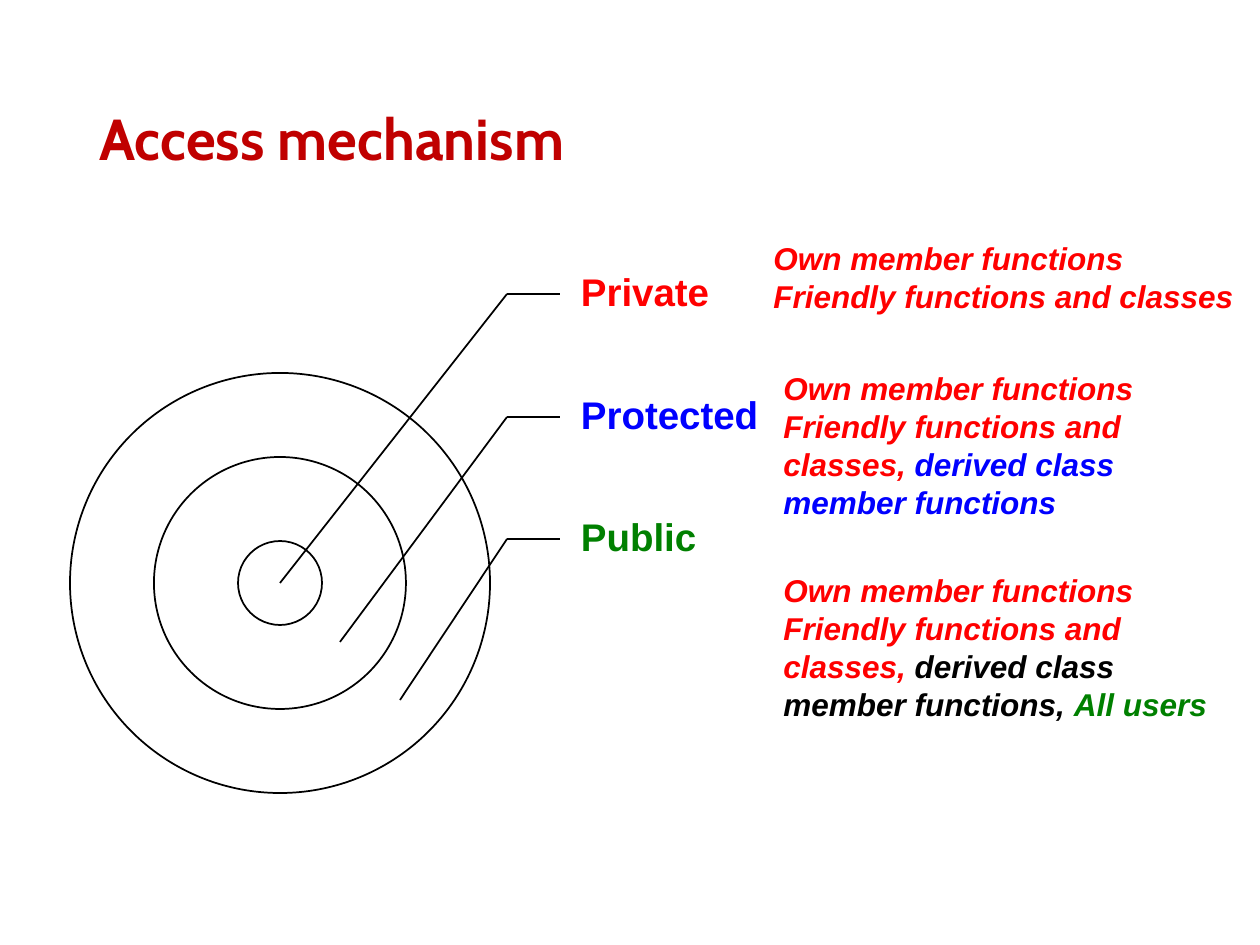
from dataclasses import dataclass

from lxml.etree import SubElement
from pptx import Presentation
from pptx.dml.color import RGBColor as Rgb
from pptx.enum.shapes import MSO_CONNECTOR as Conn, MSO_SHAPE as Kind
from pptx.enum.text import MSO_ANCHOR as Anchor, MSO_AUTO_SIZE as Fit, PP_ALIGN as Align
from pptx.oxml.ns import qn
from pptx.util import Emu, Pt

HUES = {
    "title": "C00000",
    "red": "FF0000",
    "blue": "0000FF",
    "green": "008000",
    "black": "000000",
    "white": "FFFFFF",
}
SCALE = 914400 / 126
MID = (280, 583)
RINGS = (210, 126, 42)
BEND, EDGE = 507, 560
LABEL = (210, 122)
OWN = ("Own member functions", "red")
FRIENDS = "Friendly functions and classes"


@dataclass
class Level:
    name: str
    hue: str
    y: int
    tip: tuple[int, int]
    box: tuple[int, int, int, int]
    wrap: bool
    note: list


LEVELS = [
    Level("Private", "red", 294, MID, (761, 233, 490, 89), False,
          [[OWN], [(FRIENDS, "red")]]),
    Level("Protected", "blue", 417, (340, 642), (771, 363, 471, 165), True,
          [[OWN], [(FRIENDS + ", ", "red"),
                   ("derived class member functions", "blue")]]),
    Level("Public", "green", 539, (400, 700), (771, 565, 471, 165), True,
          [[OWN], [(FRIENDS + ", ", "red"),
                   ("derived class member functions, ", "black"),
                   ("All users", "green")]]),
]


def px(n: float) -> Emu:
    return Emu(round(n * SCALE))


def tint(hue: str) -> Rgb:
    return Rgb.from_string(HUES[hue])


def place(shape, box) -> None:
    shape.left, shape.top, shape.width, shape.height = map(px, box)


def write(shape, paras, *, size, font="Arial", slant=None, lead=None,
          anchor=Anchor.TOP, wrap=True, fit=Fit.NONE, inset=None) -> None:
    frame = shape.text_frame
    frame.word_wrap = wrap
    frame.auto_size = fit
    frame.vertical_anchor = anchor
    if inset:
        (frame.margin_left, frame.margin_top,
         frame.margin_right, frame.margin_bottom) = map(px, inset)
    for i, parts in enumerate(paras):
        para = frame.add_paragraph() if i else frame.paragraphs[0]
        para.alignment = Align.LEFT
        para.line_spacing = lead
        for text, hue in parts:
            run = para.add_run()
            run.text = text
            run.font.name = font
            run.font.size = Pt(size)
            run.font.bold = True
            run.font.italic = slant
            run.font.color.rgb = tint(hue)


def ring(slide, r: int) -> None:
    x, y = MID
    shape = slide.shapes.add_shape(
        Kind.OVAL, *map(px, (x - r, y - r, 2 * r, 2 * r)))
    shape.shadow.inherit = False
    shape.fill.solid()
    shape.fill.fore_color.rgb = tint("white")
    shape.line.color.rgb = tint("black")
    shape.line.width = Pt(1)


def line(slide, start: tuple[int, int], end: tuple[int, int]) -> None:
    link = slide.shapes.add_connector(Conn.STRAIGHT, *map(px, start + end))
    link.line.color.rgb = tint("black")
    link.line.width = Pt(1)
    SubElement(link._element.spPr, qn("a:effectLst"))


def label(slide, level: Level) -> None:
    wide, high = LABEL
    box = (EDGE, level.y - high // 2, wide, high)
    shape = slide.shapes.add_textbox(*map(px, box))
    write(shape, [[(level.name, level.hue)]], size=22, lead=0.9,
          anchor=Anchor.MIDDLE, inset=(21, 4, 4, 4))
    bend = (BEND, level.y)
    line(slide, bend, (EDGE, level.y))
    line(slide, bend, level.tip)


def note(slide, level: Level) -> None:
    shape = slide.shapes.add_textbox(*map(px, level.box))
    write(shape, level.note, size=18, slant=True, wrap=level.wrap,
          fit=Fit.SHAPE_TO_FIT_TEXT)


def main() -> None:
    deck = Presentation()
    deck.slide_width, deck.slide_height = px(1260), px(945)
    slide = deck.slides.add_slide(deck.slide_layouts[5])
    title = slide.shapes.title
    place(title, (87, 50, 1086, 183))
    write(title, [[("Access mechanism", "title")]], size=33, font="Cabin",
          lead=0.9, anchor=Anchor.MIDDLE)
    for r in RINGS:
        ring(slide, r)
    for level in LEVELS:
        label(slide, level)
    for level in LEVELS:
        note(slide, level)
    deck.save("out.pptx")


if __name__ == "__main__":
    main()
